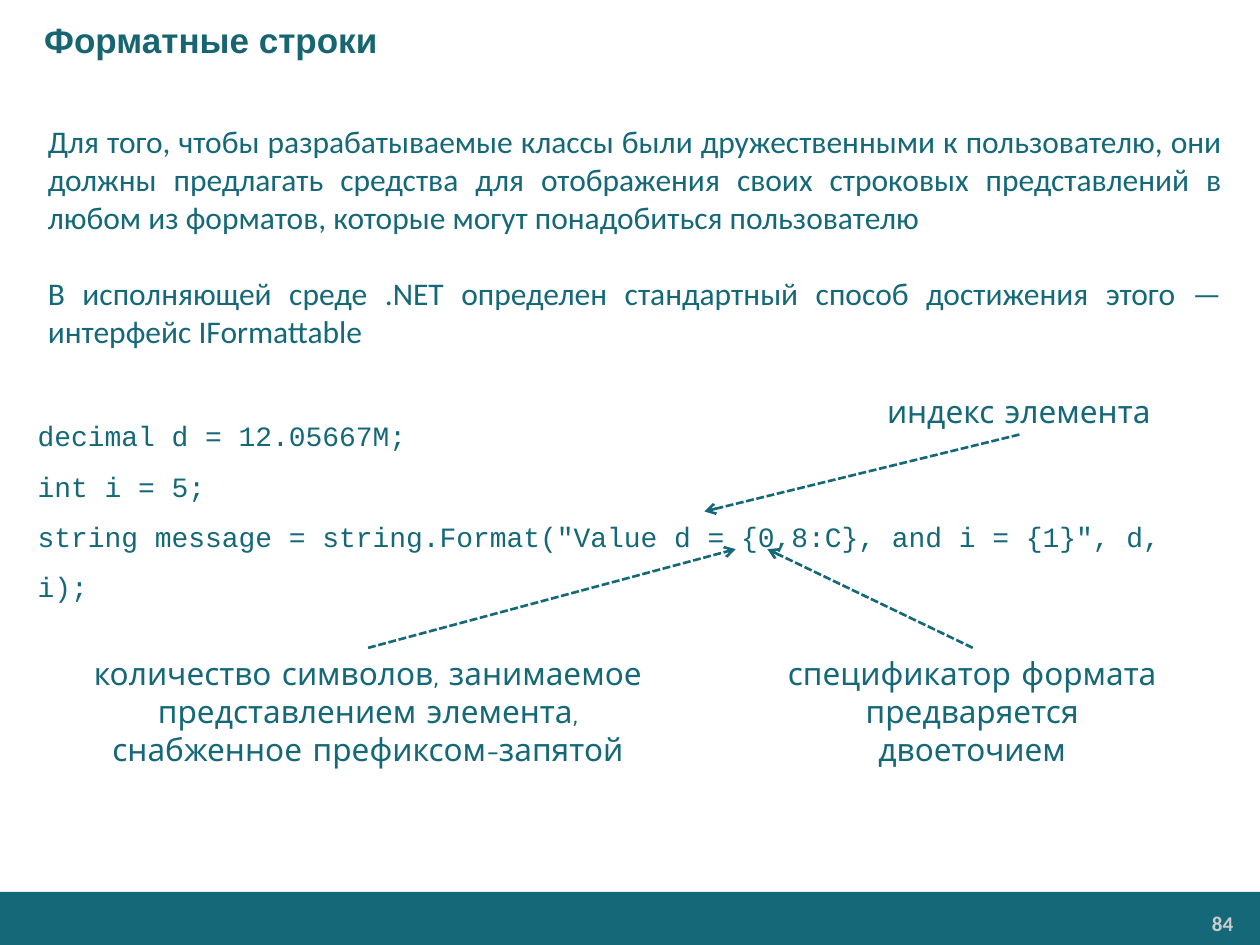
from dataclasses import dataclass

from lxml import etree
from pptx import Presentation
from pptx import util as u
from pptx.dml.color import RGBColor
from pptx.enum import dml, shapes, text
from pptx.oxml import ns


@dataclass(frozen=True)
class Theme:
    main = RGBColor.from_string("146878")
    heading = RGBColor.from_string("176571")
    page = RGBColor.from_string("CCCCCC")
    title_format = {"name": "Arial", "size": u.Pt(20), "bold": True}
    body_format = {"name": "Calibri", "size": u.Pt(18)}
    code_format = {"name": "Courier New", "size": u.Pt(16)}
    label_format = {"name": "Comic Neue", "size": u.Pt(18)}
    page_format = {"name": "Calibri", "size": u.Pt(12), "bold": True}
    arrow_width = u.Pt(1.5)


THEME = Theme()
ALIGN = text.PP_ALIGN

INTRO = [
    "Для того, чтобы разрабатываемые классы были дружественными к пользователю, "
    "они должны предлагать средства для отображения своих строковых представлений "
    "в любом из форматов, которые могут понадобиться пользователю",
    "В исполняющей среде .NET определен стандартный способ достижения этого — "
    "интерфейс IFormattable",
]
CODE = [
    "decimal d = 12.05667M;",
    "int i = 5;",
    'string message = string.Format("Value d = {0,8:C}, аnd i = {1}", d, i);',
]
# Each label: left, top, width, height in cm, then its lines
LABELS = [
    ((1.07, 13.06, 12.7, 2.57),
     ["количество символов, занимаемое представлением элемента, "
      "снабженное префиксом-запятой"]),
    ((15.35, 13.06, 8.5, 2.57), ["спецификатор формата", "предваряется двоеточием"]),
    ((17.63, 7.77, 5.82, 1.02), ["индекс элемента"]),
]
# Each arrow: start x, y and end x, y in cm
ARROWS = [
    (7.42, 13.06, 14.83, 11.07),
    (19.61, 13.06, 15.47, 11.07),
    (20.55, 8.76, 14.2, 10.31),
]


def place(shape, box):
    for side, length in zip(("left", "top", "width", "height"), box):
        setattr(shape, side, u.Cm(length))


def write(frame, lines, font, color, align=ALIGN.LEFT, spacing=1.0, gap=0):
    """Fill a text frame with one paragraph a line, gap points apart."""
    frame.word_wrap = True
    frame.auto_size = text.MSO_AUTO_SIZE.NONE
    for index, line in enumerate(lines):
        paragraph = frame.add_paragraph() if index else frame.paragraphs[0]
        paragraph.alignment = align
        paragraph.line_spacing = spacing
        paragraph.space_before = u.Pt(gap if index else 0)
        run = paragraph.add_run()
        run.text = line
        for attribute, value in font.items():
            setattr(run.font, attribute, value)
        run.font.color.rgb = color


def add_text(slide, box, lines, font, color=THEME.main, **layout):
    textbox = slide.shapes.add_textbox(*map(u.Cm, box))
    write(textbox.text_frame, lines, font, color, **layout)
    return textbox


def add_title(slide, title):
    heading = slide.shapes.title
    place(heading, (0, 0, 25.4, 1.6))
    heading.text_frame.vertical_anchor = text.MSO_ANCHOR.MIDDLE
    heading.text_frame.margin_left = u.Cm(0.89)
    write(heading.text_frame, [title], THEME.title_format, THEME.heading)


def add_intro(slide):
    intro = slide.placeholders[1]
    place(intro, (0.71, 2.34, 24.18, 4.88))
    write(intro.text_frame, INTRO, THEME.body_format, THEME.main,
          align=ALIGN.JUSTIFY, gap=22)
    for paragraph in intro.text_frame.paragraphs:
        properties = paragraph._p.get_or_add_pPr()
        properties.set("marL", "0")
        properties.set("indent", "0")
        etree.SubElement(properties, ns.qn("a:buNone"))


def add_arrow(slide, ends):
    arrow = slide.shapes.add_connector(shapes.MSO_CONNECTOR.STRAIGHT, *map(u.Cm, ends))
    arrow.line.color.rgb = THEME.main
    arrow.line.width = THEME.arrow_width
    arrow.line.dash_style = dml.MSO_LINE.SQUARE_DOT
    etree.SubElement(arrow.line._get_or_add_ln(), ns.qn("a:tailEnd"), type="arrow")
    etree.SubElement(arrow._element.spPr, ns.qn("a:effectLst"))


def add_footer(slide, number):
    band = slide.shapes.add_shape(
        shapes.MSO_SHAPE.RECTANGLE, *map(u.Cm, (0, 17.98, 25.4, 1.07)))
    band.shadow.inherit = False
    band.fill.solid()
    band.fill.fore_color.rgb = THEME.main
    band.line.fill.background()
    page = add_text(slide, (20.9, 18.26, 4.14, 0.71), [number], THEME.page_format,
                    THEME.page, align=ALIGN.RIGHT)
    for side, margin in {"left": 0.18, "right": 0.18, "top": 0.1, "bottom": 0.1}.items():
        setattr(page.text_frame, f"margin_{side}", u.Cm(margin))


def main():
    prs = Presentation()
    prs.slide_width, prs.slide_height = u.Cm(25.4), u.Cm(19.05)
    slide = prs.slides.add_slide(prs.slide_layouts[1])
    add_footer(slide, "84")
    add_title(slide, "Форматные строки")
    add_intro(slide)
    add_text(slide, (0.51, 7.98, 24.38, 4.5), CODE, THEME.code_format, spacing=1.5)
    for box, lines in LABELS:
        add_text(slide, box, lines, THEME.label_format, align=ALIGN.CENTER)
    for ends in ARROWS:
        add_arrow(slide, ends)
    prs.save("out.pptx")


if __name__ == "__main__":
    main()
